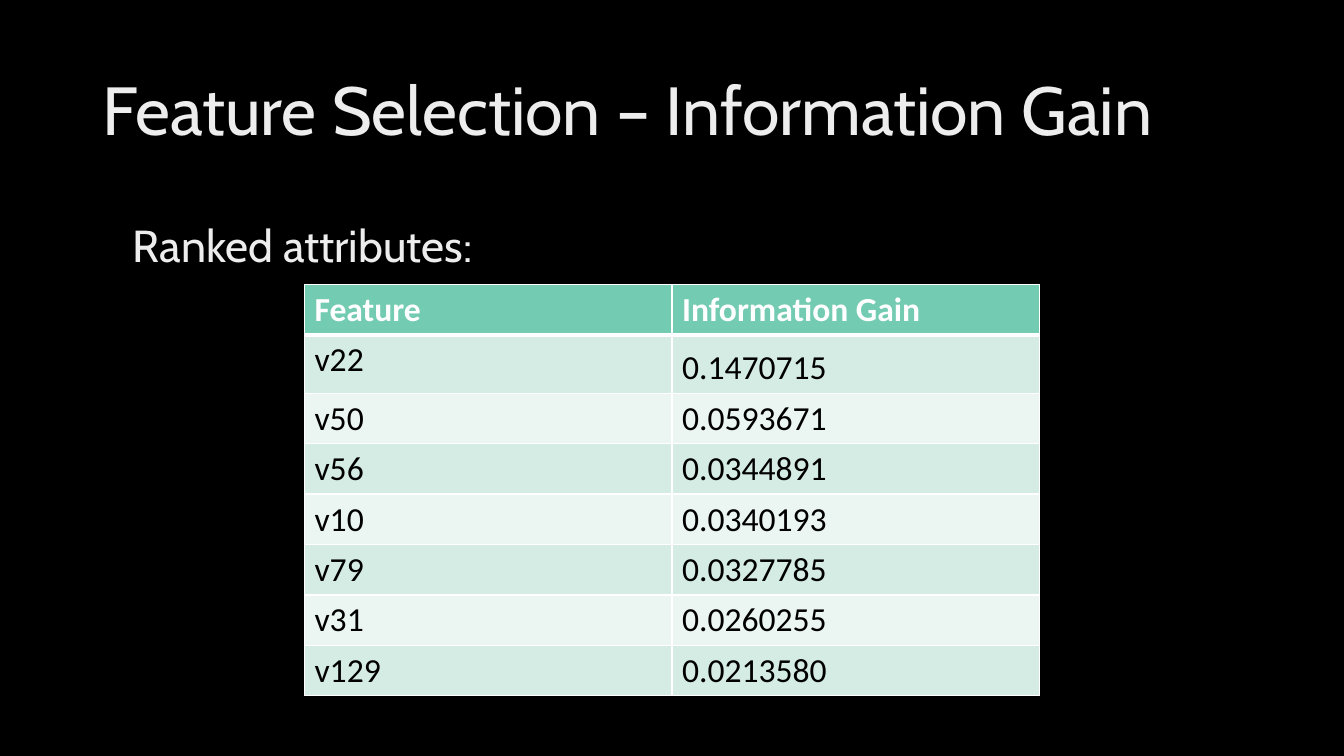
import pptx
import pptx.dml.color
import pptx.enum.text
import pptx.oxml.ns
import pptx.util
from lxml import etree

Inches = pptx.util.Inches
Pt = pptx.util.Pt

COLORS = {
    "background": "000000",
    "heading": "EDEDED",
    "header": "73CBB2",
    "odd_row": "D5ECE4",
    "even_row": "EBF6F2",
    "header_text": "FFFFFF",
    "body_text": "000000",
    "border": "FFFFFF",
}
HEADINGS = ("Feature", "Information Gain")
GAINS = [
    ("v22", "0.1470715"),
    ("v50", "0.0593671"),
    ("v56", "0.0344891"),
    ("v10", "0.0340193"),
    ("v79", "0.0327785"),
    ("v31", "0.0260255"),
    ("v129", "0.0213580"),
]


def rgb(name):
    return pptx.dml.color.RGBColor.from_string(COLORS[name])


def write(paragraph, text, font, size, color, bold=False):
    run = paragraph.add_run()
    run.text = text
    run.font.name = font
    run.font.size = Pt(size)
    run.font.bold = bold
    run.font.color.rgb = rgb(color)


def place(shape, box):
    shape.left, shape.top, shape.width, shape.height = map(Inches, box)


def add_title(slide, box):
    title = slide.shapes.title
    place(title, box)
    frame = title.text_frame
    frame.word_wrap = True
    frame.vertical_anchor = pptx.enum.text.MSO_ANCHOR.MIDDLE
    paragraph = frame.paragraphs[0]
    paragraph.alignment = pptx.enum.text.PP_ALIGN.LEFT
    paragraph.line_spacing = 0.9
    write(paragraph, "Feature Selection – Information Gain", "Cabin", 48.6, "heading")


def add_intro(slide, box):
    intro = slide.shapes.add_textbox(*map(Inches, box))
    intro.text_frame.word_wrap = True
    paragraph = intro.text_frame.paragraphs[0]
    paragraph.line_spacing = 1.2
    paragraph.space_before = Pt(10)
    write(paragraph, "Ranked attributes:", "Cabin", 32, "heading")


def set_borders(cell, widths):
    properties = cell._tc.get_or_add_tcPr()
    qn = pptx.oxml.ns.qn
    for side, width in widths.items():
        line = etree.SubElement(properties, qn(f"a:ln{side}"), w=str(Pt(width)))
        fill = etree.SubElement(line, qn("a:solidFill"))
        etree.SubElement(fill, qn("a:srgbClr"), val=COLORS["border"])


def add_gain_table(slide, box):
    rows = [HEADINGS, *GAINS]
    table = slide.shapes.add_table(len(rows), len(HEADINGS), *map(Inches, box)).table
    for r, values in enumerate(rows):
        is_header = r == 0
        band = "header" if is_header else "odd_row" if r % 2 else "even_row"
        for c, value in enumerate(values):
            cell = table.cell(r, c)
            set_borders(cell, {"L": 1, "R": 1, "T": 3 if r == 1 else 1, "B": 3 if is_header else 1})
            cell.fill.solid()
            cell.fill.fore_color.rgb = rgb(band)
            color = "header_text" if is_header else "body_text"
            write(cell.text_frame.paragraphs[0], value, "Calibri", 24, color, is_header)
    table.cell(1, 1).text_frame.paragraphs[0].line_spacing = 1.2


def build_feature_slide(deck):
    slide = deck.slides.add_slide(deck.slide_layouts[5])
    slide.background.fill.solid()
    slide.background.fill.fore_color.rgb = rgb("background")
    add_title(slide, (0.92, 0.4, 11.5, 1.45))
    add_intro(slide, (1.22, 2, 5.6, 0.8))
    add_gain_table(slide, (3.02, 2.82, 7.29, 3.28))


def main():
    deck = pptx.Presentation()
    deck.slide_width = Inches(13.33)
    deck.slide_height = Inches(7.5)
    build_feature_slide(deck)
    deck.save("out.pptx")


if __name__ == "__main__":
    main()
